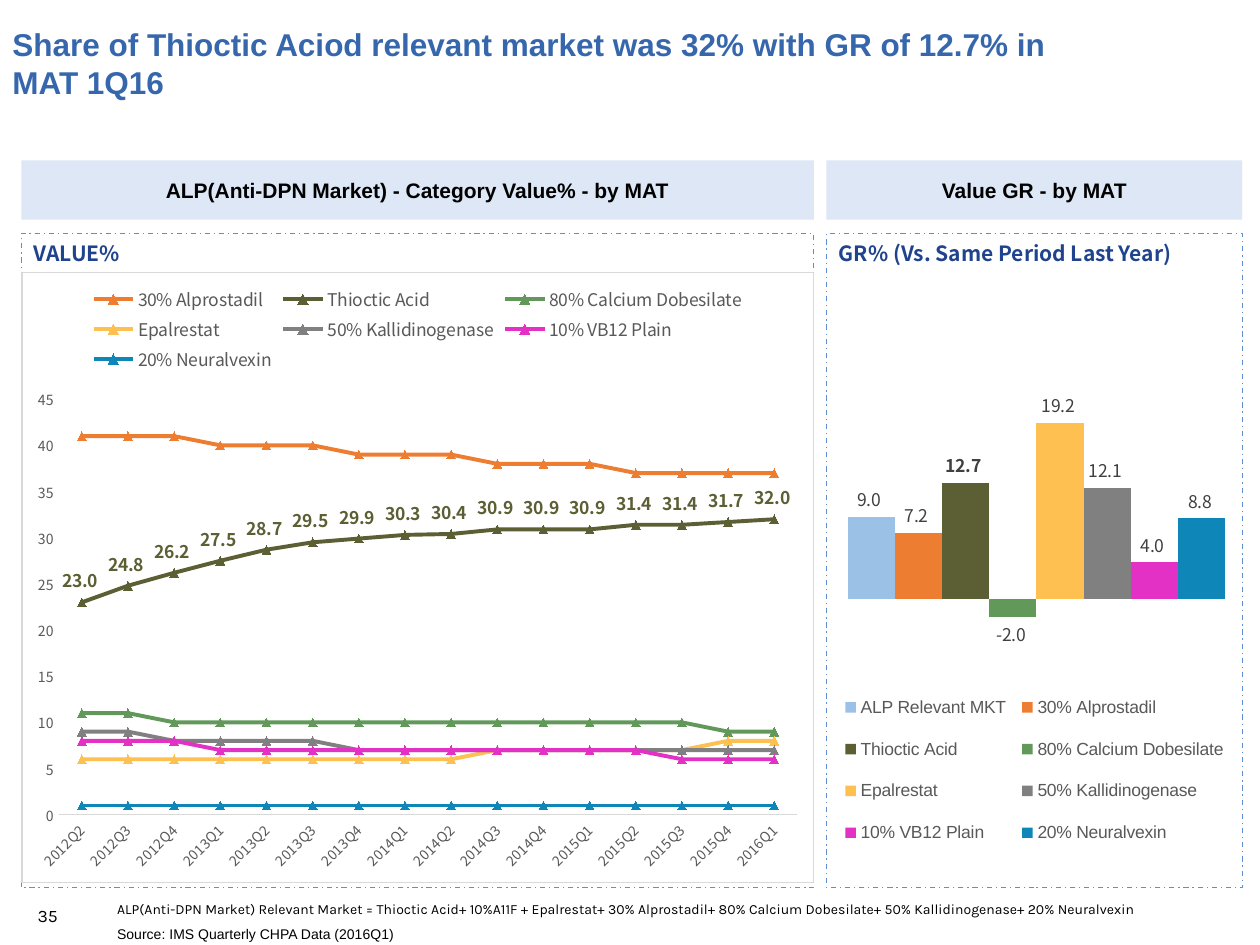
from typing import NamedTuple, Optional

from lxml import etree
from pptx import Presentation
from pptx.chart.data import CategoryChartData
from pptx.dml.color import RGBColor
from pptx.enum.chart import (XL_CHART_TYPE, XL_LABEL_POSITION, XL_LEGEND_POSITION,
                             XL_MARKER_STYLE, XL_TICK_MARK)
from pptx.enum.dml import MSO_LINE
from pptx.enum.shapes import MSO_SHAPE
from pptx.enum.text import MSO_ANCHOR, PP_ALIGN
from pptx.oxml import parse_xml
from pptx.oxml.ns import nsdecls, qn
from pptx.util import Pt

COLUMNS, LINES = XL_CHART_TYPE.COLUMN_CLUSTERED, XL_CHART_TYPE.LINE_MARKERS
ABOVE, OUTSIDE = XL_LABEL_POSITION.ABOVE, XL_LABEL_POSITION.OUTSIDE_END
LEGEND_TOP, LEGEND_BOTTOM = XL_LEGEND_POSITION.TOP, XL_LEGEND_POSITION.BOTTOM
TRIANGLE, NO_TICK = XL_MARKER_STYLE.TRIANGLE, XL_TICK_MARK.NONE
MIDDLE, TOP = MSO_ANCHOR.MIDDLE, MSO_ANCHOR.TOP
CENTER, RECTANGLE = PP_ALIGN.CENTER, MSO_SHAPE.RECTANGLE
DASH_DOT = MSO_LINE.DASH_DOT

ARIAL, KARLA, NOTO = "Arial", "Karla", "Noto Sans CJK SC"
BLACK = RGBColor(0x00, 0x00, 0x00)
TITLE_BLUE = RGBColor(0x36, 0x67, 0xAC)
HEADER_BLUE = RGBColor(0xAB, 0xC5, 0xE7)
HEADING_BLUE = RGBColor(0x1F, 0x44, 0x8D)
FRAME_BLUE = RGBColor(0x5D, 0x8F, 0xD1)
LABEL_GREY = RGBColor(0x40, 0x40, 0x40)
TEXT_GREY = RGBColor(0x59, 0x59, 0x59)
RULE_GREY = RGBColor(0xD9, 0xD9, 0xD9)
OLIVE = RGBColor(0x5C, 0x5F, 0x33)
LABEL_FORMAT = "#,##0.0_ "


class Style(NamedTuple):
    size: float
    font: str
    color: RGBColor
    bold: bool = False


class Box(NamedTuple):
    left: float
    top: float
    width: float
    height: float

    def lengths(self):
        return [Pt(value) for value in self]


class Category(NamedTuple):
    name: str
    color: RGBColor
    growth: float
    shares: Optional[list] = None


class Panel(NamedTuple):
    left: float
    width: float
    header: str
    heading: str


THIOCTIC = "Thioctic Acid"
CATEGORIES = [
    Category("ALP Relevant MKT", RGBColor(0x9B, 0xC2, 0xE6), 9.0),
    Category("30% Alprostadil", RGBColor(0xED, 0x7D, 0x31), 7.2,
             [41] * 3 + [40] * 3 + [39] * 3 + [38] * 3 + [37] * 4),
    Category(THIOCTIC, OLIVE, 12.7,
             [23, 24.8, 26.2, 27.5, 28.7, 29.5, 29.9, 30.3,
              30.4, 30.9, 30.9, 30.9, 31.4, 31.4, 31.7, 32]),
    Category("80% Calcium Dobesilate", RGBColor(0x62, 0x99, 0x5B), -2.0,
             [11] * 2 + [10] * 12 + [9] * 2),
    Category("Epalrestat", RGBColor(0xFD, 0xC0, 0x51), 19.2,
             [6] * 9 + [7] * 5 + [8] * 2),
    Category("50% Kallidinogenase", RGBColor(0x80, 0x80, 0x80), 12.1,
             [9] * 2 + [8] * 4 + [7] * 10),
    Category("10% VB12 Plain", RGBColor(0xE3, 0x31, 0xC5), 4.0,
             [8] * 3 + [7] * 10 + [6] * 3),
    Category("20% Neuralvexin", RGBColor(0x0E, 0x87, 0xB8), 8.8, [1] * 16),
]
QUARTERS = [f"{2012 + n // 4}Q{n % 4 + 1}" for n in range(1, 17)]
SHARE = Panel(12.2, 452.9, "ALP(Anti-DPN Market) - Category Value% - by MAT", "VALUE%")
GROWTH = Panel(472.3, 237.6, "Value GR - by MAT", "GR% (Vs. Same Period Last Year)")
CHART_TOP, CHART_HEIGHT = 155.5, 349.2


def apply_style(font, style: Style) -> None:
    font.size, font.name, font.bold = Pt(style.size), style.font, style.bold
    font.color.rgb = style.color


def write(shape, text: str, style: Style, anchor=TOP, wrap: bool = True):
    frame = shape.text_frame
    frame.text, frame.vertical_anchor, frame.word_wrap = text, anchor, wrap
    apply_style(frame.paragraphs[0].runs[0].font, style)
    return frame.paragraphs[0]


def add_text(slide, box: Box, text: str, style: Style, anchor=TOP) -> None:
    write(slide.shapes.add_textbox(*box.lengths()), text, style, anchor)


def add_panel(slide, panel: Panel) -> None:
    """Draw the tinted header, the heading and the dashed frame of a panel."""
    header = slide.shapes.add_shape(
        RECTANGLE, *Box(panel.left, 91.6, panel.width, 34).lengths())
    header.shadow.inherit = False
    header.line.fill.background()
    header.fill.solid()
    header.fill.fore_color.rgb = HEADER_BLUE
    tint = header.fill._xPr.find(".//" + qn("a:srgbClr"))
    etree.SubElement(tint, qn("a:alpha"), val="40000")
    write(header, panel.header, Style(12, ARIAL, BLACK, True), MIDDLE, False).alignment = CENTER

    add_text(slide, Box(panel.left, 134, panel.width, 21.8), panel.heading,
             Style(12, NOTO, HEADING_BLUE, True))

    frame = slide.shapes.add_shape(
        RECTANGLE, *Box(panel.left, 133.4, panel.width, 374).lengths())
    frame.shadow.inherit = False
    frame.fill.background()
    frame.line.color.rgb, frame.line.width = FRAME_BLUE, Pt(0.75)
    frame.line.dash_style = DASH_DOT


def place(parent, index: int, box: Box, inner: bool = False) -> None:
    """Give a chart part a manual layout in fractions of the chart."""
    for old in parent.findall(qn("c:layout")):
        parent.remove(old)
    target = '<c:layoutTarget val="inner"/>' if inner else ""
    modes = '<c:xMode val="edge"/><c:yMode val="edge"/>'
    sizes = "".join(f'<c:{tag} val="{value}"/>' for tag, value in zip("xywh", box))
    parent.insert(index, parse_xml(
        f'<c:layout {nsdecls("c")}><c:manualLayout>{target}{modes}{sizes}'
        '</c:manualLayout></c:layout>'))


def add_chart(slide, panel: Panel, kind, data, legend_position, legend_font: str):
    box = Box(panel.left, CHART_TOP, panel.width, CHART_HEIGHT)
    chart = slide.shapes.add_chart(kind, *box.lengths(), data).chart
    apply_style(chart.font, Style(10, NOTO, BLACK))
    chart.has_title = False
    chart.has_legend = True
    chart.legend.position = legend_position
    chart.legend.include_in_layout = False
    apply_style(chart.legend.font, Style(10, legend_font, TEXT_GREY))
    chart.value_axis.has_major_gridlines = False
    chart.plots[0].vary_by_categories = False
    return chart


def label_values(series, position, style: Style) -> None:
    labels = series.data_labels
    labels.show_value, labels.position = True, position
    labels.number_format, labels.number_format_is_linked = LABEL_FORMAT, False
    apply_style(labels.font, style)


def add_growth_chart(slide) -> None:
    data = CategoryChartData()
    data.categories = ["1"]
    for category in CATEGORIES:
        data.add_series(category.name, [category.growth])
    chart = add_chart(slide, GROWTH, COLUMNS, data, LEGEND_BOTTOM, ARIAL)
    chart.category_axis.visible = chart.value_axis.visible = False
    plot = chart.plots[0]
    plot.gap_width, plot.overlap = 1, 0
    for series, category in zip(plot.series, CATEGORIES):
        series.format.fill.solid()
        series.format.fill.fore_color.rgb = category.color
        series.invert_if_negative = False
        label_values(series, OUTSIDE,
                     Style(10, NOTO, LABEL_GREY, category.name == THIOCTIC))
    place(chart.element.find(".//" + qn("c:plotArea")), 0, Box(0.05, 0.16, 0.91, 0.45), True)
    place(chart.element.find(".//" + qn("c:legend")), 1, Box(0.02, 0.66, 0.96, 0.31))


def add_share_chart(slide) -> None:
    shown = [category for category in CATEGORIES if category.shares]
    data = CategoryChartData()
    data.categories = QUARTERS
    for category in shown:
        data.add_series(category.name, category.shares)
    chart = add_chart(slide, SHARE, LINES, data, LEGEND_TOP, NOTO)
    for axis in (chart.category_axis, chart.value_axis):
        axis.major_tick_mark = axis.minor_tick_mark = NO_TICK
        apply_style(axis.tick_labels.font, Style(8, NOTO, TEXT_GREY))
    quarters, values = chart.category_axis, chart.value_axis
    quarters.format.line.color.rgb, quarters.format.line.width = RULE_GREY, Pt(0.75)
    quarters._element.find(".//" + qn("a:bodyPr")).set("rot", "-2700000")
    values.minimum_scale, values.maximum_scale, values.major_unit = 0, 45, 5
    values.tick_labels.number_format = "#,##0"
    values.tick_labels.number_format_is_linked = False
    values.format.line.fill.background()
    for series, category in zip(chart.plots[0].series, shown):
        series.smooth = False
        series.format.line.color.rgb, series.format.line.width = category.color, Pt(2.25)
        series.marker.style, series.marker.size = TRIANGLE, 5
        series.marker.format.fill.solid()
        series.marker.format.fill.fore_color.rgb = category.color
        series.marker.format.line.color.rgb = category.color
        if category.name == THIOCTIC:
            label_values(series, ABOVE, Style(10, NOTO, OLIVE, True))
    chart.element.find(qn("c:chart")).addnext(parse_xml(
        f'<c:spPr {nsdecls("c", "a")}><a:noFill/><a:ln w="{Pt(0.75)}"><a:solidFill>'
        f'<a:srgbClr val="{RULE_GREY}"/></a:solidFill></a:ln></c:spPr>'))


def main() -> None:
    deck = Presentation()
    deck.slide_width, deck.slide_height = Pt(720), Pt(540)
    slide = deck.slides.add_slide(deck.slide_layouts[6])
    add_text(slide, Box(14.4, 513.4, 45.4, 19.4), "35", Style(10, KARLA, BLACK), MIDDLE)
    add_text(slide, Box(0, 0, 641.5, 72),
             "Share of Thioctic Aciod relevant market was 32% with GR of 12.7% in MAT 1Q16",
             Style(18, ARIAL, TITLE_BLUE, True), MIDDLE)
    for panel in (SHARE, GROWTH):
        add_panel(slide, panel)
    add_text(slide, Box(59.8, 512.6, 599, 13),
             "ALP(Anti-DPN Market) Relevant Market = Thioctic Acid+ 10%A11F + Epalrestat+ "
             "30% Alprostadil+ 80% Calcium Dobesilate+ 50% Kallidinogenase+ 20% Neuralvexin",
             Style(8, KARLA, BLACK), MIDDLE)
    add_text(slide, Box(59.8, 525.6, 599, 17),
             "Source: IMS Quarterly CHPA Data (2016Q1)", Style(8, ARIAL, BLACK))
    add_growth_chart(slide)
    add_share_chart(slide)
    deck.save("out.pptx")


if __name__ == "__main__":
    main()
